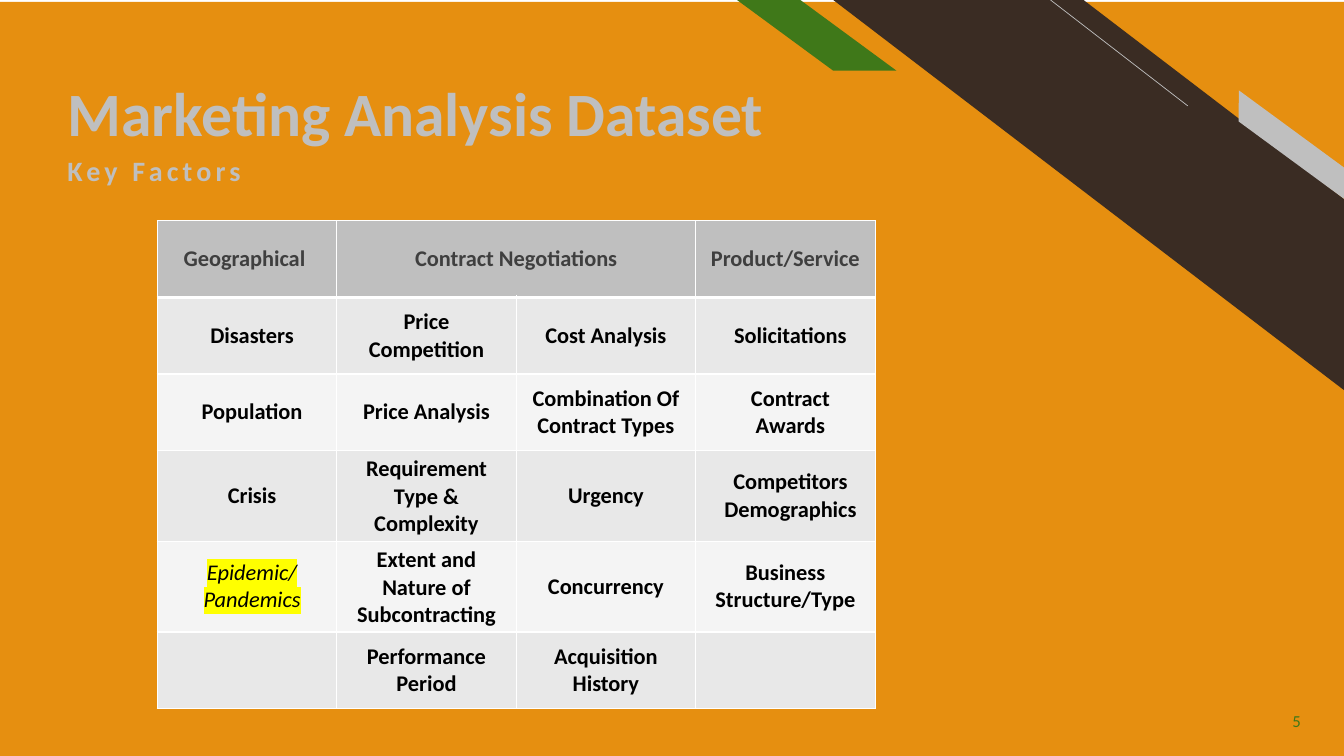
from lxml.etree import SubElement
from pptx import Presentation
from pptx.dml.color import RGBColor
from pptx.enum.shapes import MSO_CONNECTOR as Connector, MSO_SHAPE as Shape
from pptx.enum.text import MSO_ANCHOR as Anchor, PP_ALIGN as Align
from pptx.oxml.ns import qn
from pptx.util import Inches, Pt

ORANGE = RGBColor(0xE6, 0x8F, 0x10)
BROWN = RGBColor(0x3A, 0x2C, 0x23)
GREEN = RGBColor(0x3F, 0x78, 0x19)
SILVER = RGBColor(0xBF, 0xBF, 0xBF)
CHARCOAL = RGBColor(0x3F, 0x3F, 0x3F)
BLACK = RGBColor(0, 0, 0)
WHITE = RGBColor(0xFF, 0xFF, 0xFF)
YELLOW = RGBColor(0xFF, 0xFF, 0)
BANDS = (RGBColor(0xE8, 0xE8, 0xE8), RGBColor(0xF4, 0xF4, 0xF4))

WIDTH, HEIGHT = 13.33, 7.5
COLUMN, ROW = 1.78, 0.76
MARGIN, INDENT = 0.1, 0.2

HEADERS = ("Geographical ", "Contract Negotiations", "", "Product/Service")
FACTORS = (
    ("Disasters", "Price Competition", "Cost Analysis", "Solicitations"),
    ("Population", "Price Analysis", "Combination Of Contract Types", "Contract Awards"),
    ("Crisis", "Requirement Type & Complexity", "Urgency", "Competitors Demographics"),
    ("Epidemic/ Pandemics", "Extent and Nature of Subcontracting", "Concurrency",
     "Business Structure/Type"),
    ("", "Performance Period", "Acquisition History", ""),
)
HIGHLIGHTED = "Epidemic/ Pandemics"
UNINDENTED = "Business Structure/Type"


def apply(target, values):
    for name, value in values.items():
        setattr(target, name, value)


def add_run(paragraph, text, color, **font_values):
    run = paragraph.add_run()
    run.text = text
    run.font.color.rgb = color
    apply(run.font, {"name": "Calibri", **font_values})
    return run


def add_label(slide, box, text, color, frame_values, paragraph_values, **font_values):
    frame = slide.shapes.add_textbox(*map(Inches, box)).text_frame
    apply(frame, {"word_wrap": True, **frame_values})
    paragraph = frame.paragraphs[0]
    apply(paragraph, paragraph_values)
    return add_run(paragraph, text, color, **font_values)


def add_block(slide, kind, box, color, adjustment=None, rotation=0):
    shape = slide.shapes.add_shape(kind, *map(Inches, box))
    shape.shadow.inherit = False
    shape.fill.solid()
    shape.fill.fore_color.rgb = color
    shape.line.fill.background()
    if adjustment is not None:
        shape.adjustments[0] = adjustment
        shape.rotation = rotation
        shape.element.spPr.get_or_add_xfrm().set("flipH", "1")


def add_backdrop(slide, width, height):
    add_block(slide, Shape.RECTANGLE, (0, 0.02, width, height), ORANGE)
    stripe_left = 0.62 * width
    add_block(slide, Shape.DIAGONAL_STRIPE,
              (stripe_left, 0, width - stripe_left, 3.87), BROWN, 0.51)
    line = slide.shapes.add_connector(
        Connector.STRAIGHT, Inches(11.78), Inches(1.05), Inches(10.42), 0)
    line.line.color.rgb = SILVER
    line.line.width = Pt(0.5)
    SubElement(line.element.spPr, qn("a:effectLst"))
    add_block(slide, Shape.PARALLELOGRAM, (12.07, 1.31, 1.48, 0.25), SILVER, 0.72, 36.3)
    add_block(slide, Shape.PARALLELOGRAM, (7.31, 0, 1.58, 0.7), GREEN, 1.36)


def add_heading(slide, left, top):
    add_label(slide, (left, top, 9.11, 1.26), "Marketing Analysis Dataset", SILVER,
              {"vertical_anchor": Anchor.BOTTOM, "margin_bottom": 0},
              {"line_spacing": 0.9}, size=Pt(44), bold=True)
    subtitle = add_label(slide, (left, top + 1.28, 8.06, 0.67), "Key Factors", SILVER,
                         {}, {"line_spacing": 0.9}, size=Pt(20), bold=True)
    subtitle.font._element.set("spc", "300")


def add_borders(cell, bottom_width):
    properties = cell._tc.get_or_add_tcPr()
    for side, points in (("L", 1), ("R", 1), ("T", 1), ("B", bottom_width)):
        border = SubElement(properties, qn(f"a:ln{side}"), w=str(Pt(points)))
        fill = SubElement(border, qn("a:solidFill"))
        SubElement(fill, qn("a:srgbClr"), val=str(WHITE))


def highlight(run):
    mark = SubElement(run.font._element, qn("a:highlight"))
    SubElement(mark, qn("a:srgbClr"), val=str(YELLOW))
    run.font._element.find(qn("a:solidFill")).addnext(mark)


def fill_cell(cell, text, color, background, indent, bottom_width):
    add_borders(cell, bottom_width)
    cell.fill.solid()
    cell.fill.fore_color.rgb = background
    apply(cell, {"vertical_anchor": Anchor.MIDDLE, "margin_left": Inches(indent)})
    paragraph = cell.text_frame.paragraphs[0]
    paragraph.alignment = Align.CENTER
    if text:
        special = text == HIGHLIGHTED
        run = add_run(paragraph, text, color, size=Pt(16), bold=not special, italic=special)
        if special:
            highlight(run)


def add_factor_table(slide, left, top):
    rows = (HEADERS, *FACTORS)
    columns = len(HEADERS)
    box = (left, top, columns * COLUMN, len(rows) * ROW)
    table = slide.shapes.add_table(len(rows), columns, *map(Inches, box)).table
    for column in table.columns:
        column.width = Inches(COLUMN)
    for row_index, texts in enumerate(rows):
        table.rows[row_index].height = Inches(ROW)
        header = row_index == 0
        background = SILVER if header else BANDS[(row_index - 1) % 2]
        for column_index, text in enumerate(texts):
            outer = column_index in (0, columns - 1)
            indented = outer and not header and text != UNINDENTED
            fill_cell(table.cell(row_index, column_index), text,
                      CHARCOAL if header else BLACK, background,
                      INDENT if indented else MARGIN, 3 if header else 1)
    table.cell(0, 1).merge(table.cell(0, 2))


def add_page_number(slide, left, top):
    add_label(slide, (left, top, 0.81, 0.4), "5", GREEN,
              {"vertical_anchor": Anchor.MIDDLE}, {"alignment": Align.RIGHT}, size=Pt(12))


def main():
    presentation = Presentation()
    apply(presentation, {"slide_width": Inches(WIDTH), "slide_height": Inches(HEIGHT)})
    slide = presentation.slides.add_slide(presentation.slide_layouts[6])
    add_backdrop(slide, WIDTH, HEIGHT)
    add_heading(slide, 0.57, 0.23)
    add_factor_table(slide, 1.56, 2.19)
    add_page_number(slide, 12.19, 6.95)
    presentation.save("out.pptx")


if __name__ == "__main__":
    main()
